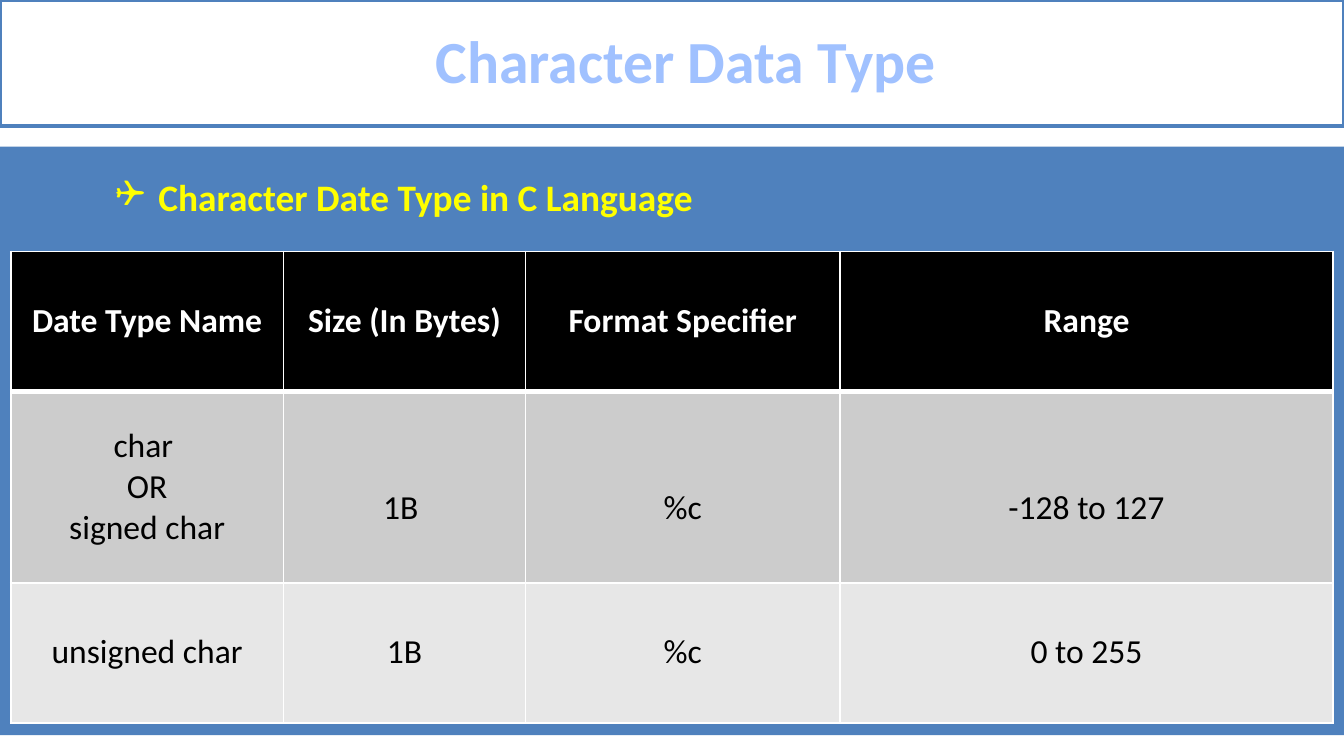
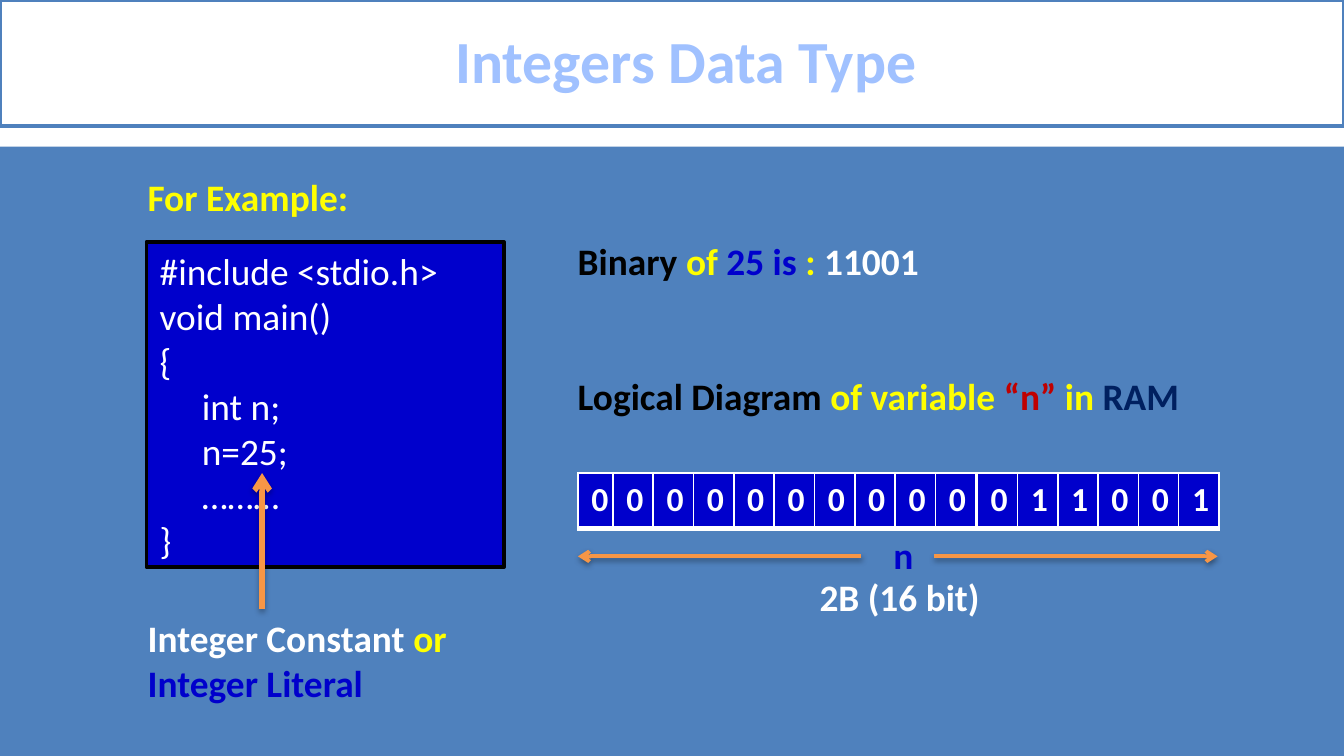
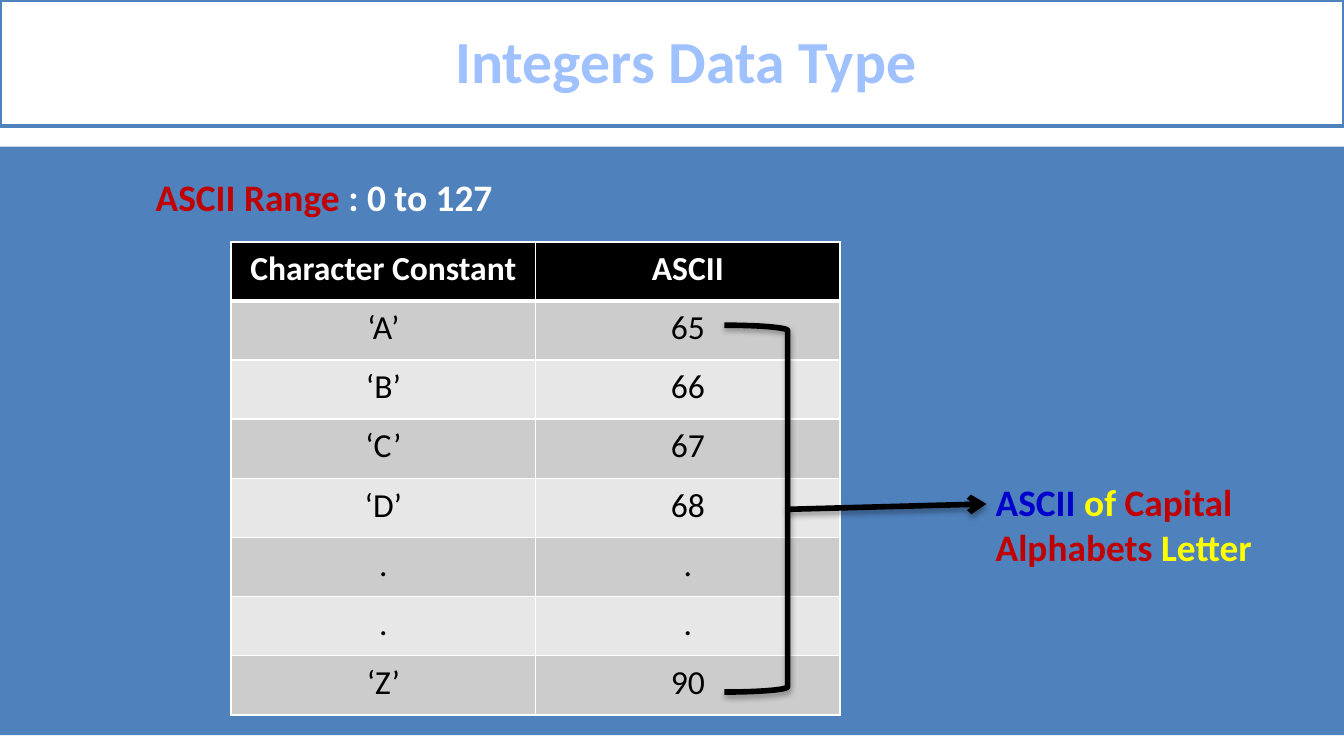
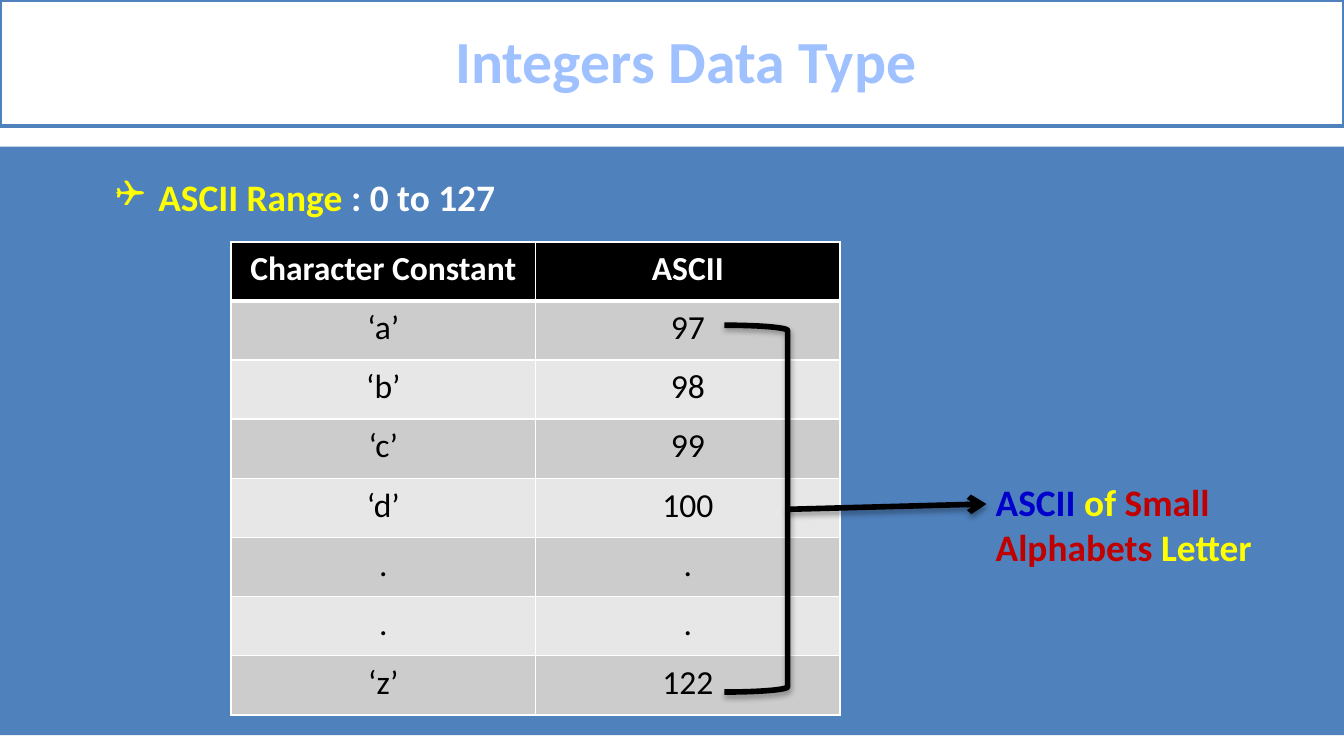
"""Build four slides on the character and integer data types of C."""
from dataclasses import dataclass

from lxml import etree
from pptx import Presentation
from pptx.dml.color import RGBColor
from pptx.enum.shapes import MSO_CONNECTOR, MSO_SHAPE
from pptx.enum.text import MSO_ANCHOR, PP_ALIGN
from pptx.oxml import parse_xml
from pptx.oxml.ns import nsdecls, qn
from pptx.util import Inches, Pt

RECT, BRACKET = MSO_SHAPE.RECTANGLE, MSO_SHAPE.RIGHT_BRACKET
STRAIGHT = MSO_CONNECTOR.STRAIGHT
LEFT, CENTER = PP_ALIGN.LEFT, PP_ALIGN.CENTER
TOP, MIDDLE = MSO_ANCHOR.TOP, MSO_ANCHOR.MIDDLE


@dataclass(frozen=True)
class Theme:
    font: str = "Calibri"
    bullet_font: str = "Wingdings"
    title_size: int = 32
    body_size: int = 20
    table_size: int = 18
    white: str = "FFFFFF"
    black: str = "000000"
    panel: str = "4F81BD"
    title: str = "A0C1FF"
    yellow: str = "FFFF00"
    blue: str = "0000CC"
    red: str = "C00000"
    navy: str = "002060"
    orange: str = "F79646"
    bands: tuple = ("CCCCCC", "E7E7E7")


T = Theme()
WIDTH = 10
HEIGHT = WIDTH * 9 / 16
TITLE_HEIGHT, PANEL_TOP, PANEL_BOTTOM = 0.94, 1.09, 5.47
HEADING_AT = (0, 1.25, 10, 0.44)
INDENT, SPACED_INDENT, BULLET_INDENT, HANGING = 1, 1.06, 1.08, 0.32

CHAR_TITLE = "Character Data Type"
CHAR_HEADING = [[("Character Date Type in C Language", T.yellow)]]
CHAR_ROWS = [
    ("Date Type Name", "Size (In Bytes)", "Format Specifier", "Range"),
    ("char \nOR\nsigned char", "1B ", "%c", "-128 to 127"),
    ("unsigned char", "1B", "%c", "0 to 255"),
]
CHAR_COLUMNS = (2.03, 1.8, 2.34, 3.67)
CHAR_HEIGHTS = (1.04, 1.43, 1.04)
DROPPED_MARGIN = 0.36

INTEGER_TITLE = "Integers Data Type"
EXAMPLE_HEADING = [[("For Example:", T.yellow)]]
CODE = ["#include <stdio.h>", "void main()", "{", "     int n;",
        "     n=25;", "     ………", "}"]
CONSTANT_NOTE = [
    [("Integer Constant ", T.white), ("or", T.yellow)],
    [("Integer Literal", T.blue)],
]
BINARY_NOTE = [
    [("Binary", T.black), (" of ", T.yellow), ("25 is", T.blue),
     (" : ", T.yellow), ("11001", T.white)],
    [("Logical Diagram", T.black), (" of variable ", T.yellow),
     ("“n”", T.red), (" in ", T.yellow), ("RAM", T.navy)],
]
BIT_GROUPS = [
    (4.3, "0000000000", [0.26] + [0.3] * 9),
    (7.27, "011001", [0.3] * 6),
]
BITS_TOP, BITS_HEIGHT = 3.52, 0.41
SPAN_ARROWS = [((6.95, 4.14), (9.06, 4.14)), ((6.41, 4.14), (4.3, 4.14))]
BIT_LABELS = [("n", T.blue, 5.55, 3.91), ("2B (16 bit)", T.white, 5, 4.22)]

ASCII_HEADER = ("Character Constant", "ASCII")
ASCII_AT = (1.72, 1.8)
ASCII_WIDTH, ASCII_HEIGHT = 4.53, 3.52
ASCII_SLIDES = [
    dict(case="Capital", heading_color=T.red, bulleted=False,
         rows=[("‘A’", "65"), ("‘B’", "66"), ("‘C’", "67"), ("‘D’", "68"),
               (".", "."), (".", "."), ("‘Z’", "90")]),
    dict(case="Small", heading_color=T.yellow, bulleted=True,
         rows=[("‘a’", "97"), ("‘b’", "98"), ("‘c’", "99"), ("‘d’", "100"),
               (".", "."), (".", "."), ("‘z’", "122")]),
]


def rgb(color):
    return RGBColor.from_string(color)


def inches(values):
    return [Inches(value) for value in values]


def style_font(paragraph, size, color=None, bold=True):
    font = paragraph.font
    font.name, font.size, font.bold = T.font, Pt(size), bold
    if color:
        font.color.rgb = rgb(color)


def set_indent(paragraph, left, first=0):
    properties = paragraph._p.get_or_add_pPr()
    properties.set("marL", str(Inches(left)))
    properties.set("indent", str(Inches(first)))
    return properties


def add_box(slide, at, fill=None, line=None, line_width=2, kind=RECT):
    box = slide.shapes.add_shape(kind, *inches(at))
    box.shadow.inherit = False
    if fill:
        box.fill.solid()
        box.fill.fore_color.rgb = rgb(fill)
    else:
        box.fill.background()
    if line:
        box.line.color.rgb = rgb(line)
        box.line.width = Pt(line_width)
    else:
        box.line.fill.background()
    return box


def add_text(slide, at, lines, indent=INDENT, bulleted=False, bold=True, gap=0):
    frame = slide.shapes.add_textbox(*inches(at)).text_frame
    frame.word_wrap = True
    for index, runs in enumerate(lines):
        paragraph = frame.add_paragraph() if index else frame.paragraphs[0]
        if bulleted:
            properties = set_indent(paragraph, BULLET_INDENT, -HANGING)
            font = etree.SubElement(properties, qn("a:buFont"))
            font.set("typeface", T.bullet_font)
            etree.SubElement(properties, qn("a:buChar")).set("char", "❑")
        else:
            set_indent(paragraph, indent)
        if index and gap:
            paragraph.space_before = Pt(gap)
        colors = {color for _, color in runs}
        shared = colors.pop() if len(colors) == 1 else None
        style_font(paragraph, T.body_size, shared, bold)
        for text, color in runs:
            run = paragraph.add_run()
            run.text = text
            if not shared:
                run.font.color.rgb = rgb(color)


def add_shadow(shape, opacity=35, distance=1.8):
    properties = shape._element.spPr
    for effects in properties.findall(qn("a:effectLst")):
        properties.remove(effects)
    properties.append(parse_xml(
        f'<a:effectLst {nsdecls("a")}><a:outerShdw blurRad="{Pt(3.1)}" '
        f'dist="{Pt(distance)}" dir="5400000" rotWithShape="0">'
        f'<a:srgbClr val="{T.black}"><a:alpha val="{opacity * 1000}"/>'
        '</a:srgbClr></a:outerShdw></a:effectLst>'))


def add_arrow(slide, start, end, color, width=3, **shadow):
    arrow = slide.shapes.add_connector(STRAIGHT, *inches(start + end))
    arrow.line.color.rgb = rgb(color)
    arrow.line.width = Pt(width)
    head = etree.SubElement(arrow.line._get_or_add_ln(), qn("a:tailEnd"))
    head.set("type", "arrow")
    add_shadow(arrow, **shadow)


def set_borders(cell, is_header):
    properties = cell._tc.get_or_add_tcPr()
    for side in ("L", "R", "T", "B"):
        width = Pt(3 if is_header and side == "B" else 1)
        properties.append(parse_xml(
            f'<a:ln{side} {nsdecls("a")} w="{width}"><a:solidFill>'
            f'<a:srgbClr val="{T.white}"/></a:solidFill></a:ln{side}>'))


def add_grid(slide, left, top, rows, widths, heights,
             header_fill=T.black, align=CENTER):
    size = inches((left, top, sum(widths), sum(heights)))
    table = slide.shapes.add_table(len(rows), len(widths), *size).table
    table.horz_banding = False
    for column, width in zip(table.columns, widths):
        column.width = Inches(width)
    for index, (row, height, texts) in enumerate(zip(table.rows, heights, rows)):
        is_header = index == 0
        row.height = Inches(height)
        for cell, text in zip(row.cells, texts):
            set_borders(cell, is_header)
            cell.fill.solid()
            cell.fill.fore_color.rgb = rgb(
                header_fill if is_header else T.bands[(index - 1) % 2])
            cell.text = text
            for paragraph in cell.text_frame.paragraphs:
                paragraph.alignment = align
                style_font(paragraph, T.table_size,
                           T.white if is_header else T.black, is_header)
    return table


def start_slide(deck, title, panel_bottom=PANEL_BOTTOM):
    slide = deck.slides.add_slide(deck.slide_layouts[6])
    add_box(slide, (0, PANEL_TOP, WIDTH, panel_bottom - PANEL_TOP), T.panel)
    banner = add_box(slide, (0, 0, WIDTH, TITLE_HEIGHT), T.white, T.panel)
    banner.text_frame.vertical_anchor = MIDDLE
    heading = banner.text_frame.paragraphs[0]
    heading.text = title
    heading.alignment = CENTER
    heading.line_spacing = 0.96
    set_indent(heading, 0.21)
    style_font(heading, T.title_size, T.title)
    return slide


def build_character_slide(deck):
    slide = start_slide(deck, CHAR_TITLE)
    add_text(slide, HEADING_AT, CHAR_HEADING, bulleted=True)
    table = add_grid(slide, 0.08, 1.87, CHAR_ROWS, CHAR_COLUMNS, CHAR_HEIGHTS)
    for index, row in enumerate(table.rows):
        for column, cell in enumerate(row.cells):
            cell.vertical_anchor = TOP if index == 2 else MIDDLE
            if index == 2 or (index == 1 and column):
                cell.margin_top = Inches(DROPPED_MARGIN)


def build_integer_slide(deck):
    slide = start_slide(deck, INTEGER_TITLE, HEIGHT)
    add_text(slide, HEADING_AT, EXAMPLE_HEADING)
    add_box(slide, (1.09, 1.8, 2.66, 2.42), T.blue, T.black)
    add_text(slide, (1.09, 1.8, 2.5, 2.46),
             [[(line, T.white)] for line in CODE], indent=0, bold=False)
    add_arrow(slide, (1.95, 4.53), (1.95, 3.52), T.orange)
    add_text(slide, (0, 4.53, 10, 0.77), CONSTANT_NOTE)
    add_text(slide, (3.2, 1.72, 6.25, 2.46), BINARY_NOTE, gap=48.4)
    for left, bits, widths in BIT_GROUPS:
        add_grid(slide, left, BITS_TOP, [bits], widths, [BITS_HEIGHT],
                 T.blue, LEFT)
    for start, end in SPAN_ARROWS:
        add_arrow(slide, start, end, T.orange, 2, opacity=38, distance=1.6)
    for text, color, left, top in BIT_LABELS:
        add_text(slide, (left, top, 2.66, 0.44), [[(text, color)]])


def build_ascii_slide(deck, case, heading_color, bulleted, rows):
    slide = start_slide(deck, INTEGER_TITLE)
    heading = [[("ASCII Range ", heading_color), (": 0 to 127", T.white)]]
    add_text(slide, HEADING_AT, heading, SPACED_INDENT, bulleted)
    rows = [ASCII_HEADER] + rows
    add_grid(slide, *ASCII_AT, rows, [ASCII_WIDTH / 2] * 2,
             [ASCII_HEIGHT / len(rows)] * len(rows))
    bracket = add_box(slide, (5.39, 2.42, 0.47, 2.73), line=T.black,
                      line_width=3, kind=BRACKET)
    add_shadow(bracket)
    add_arrow(slide, (5.86, 3.79), (7.34, 3.75), T.black)
    note = [
        [("ASCII ", T.blue), ("of ", T.yellow), (case, T.red)],
        [("Alphabets ", T.red), ("Letter", T.yellow)],
    ]
    add_text(slide, (6.25, 3.52, 5.31, 0.77), note, SPACED_INDENT)


def main():
    deck = Presentation()
    deck.slide_width, deck.slide_height = Inches(WIDTH), Inches(HEIGHT)
    build_character_slide(deck)
    build_integer_slide(deck)
    for content in ASCII_SLIDES:
        build_ascii_slide(deck, **content)
    deck.save("out.pptx")


if __name__ == "__main__":
    main()
